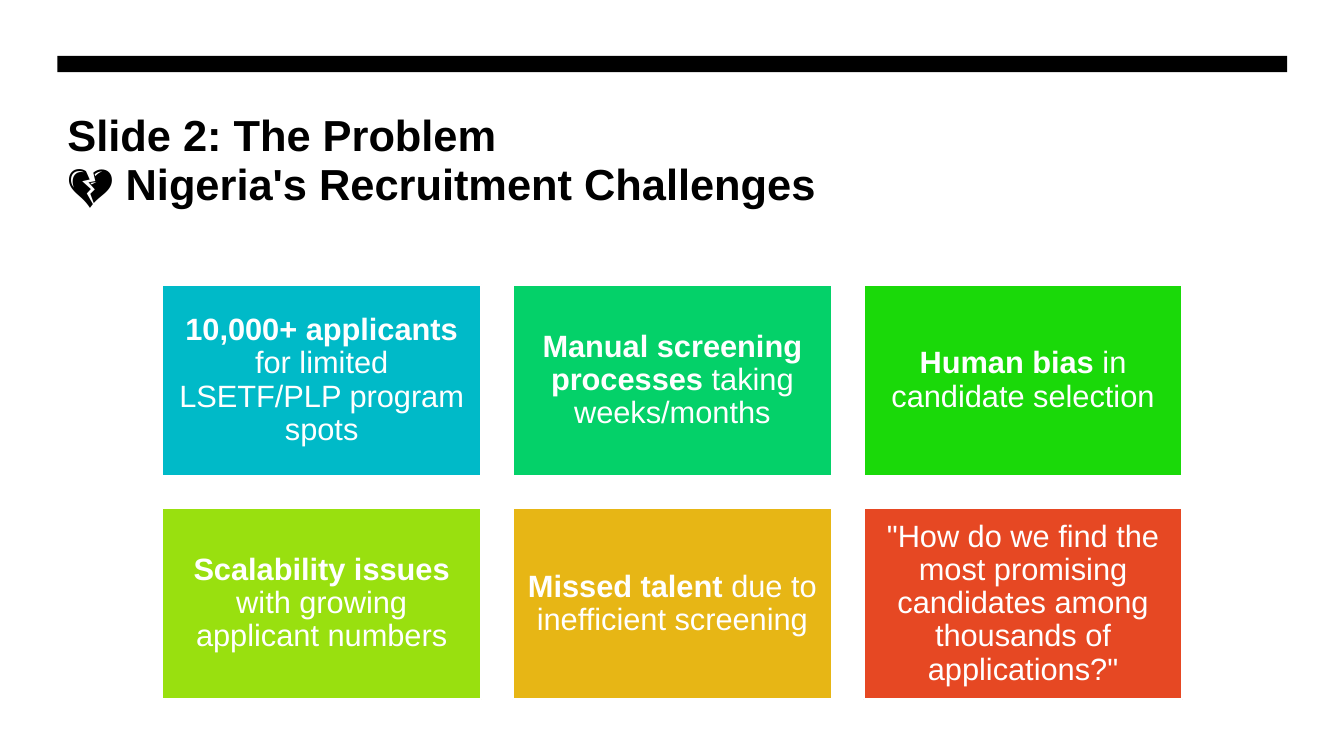
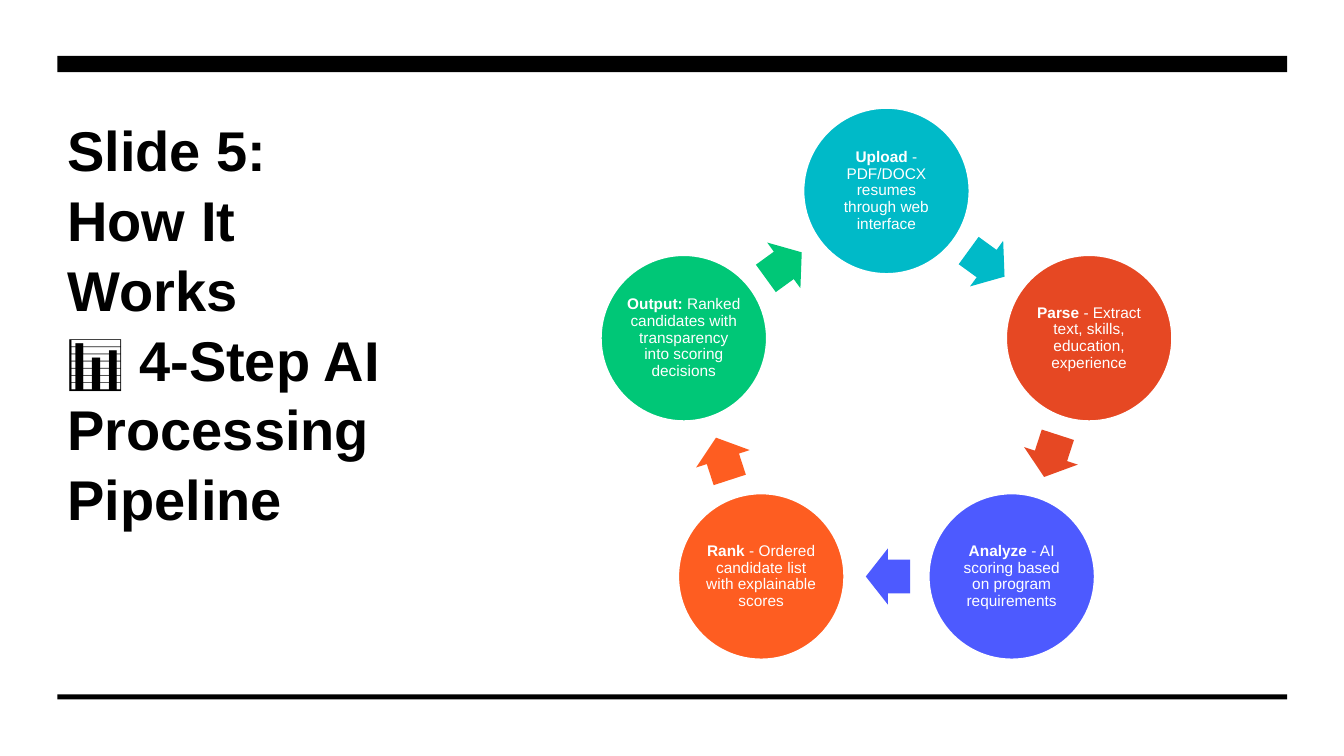
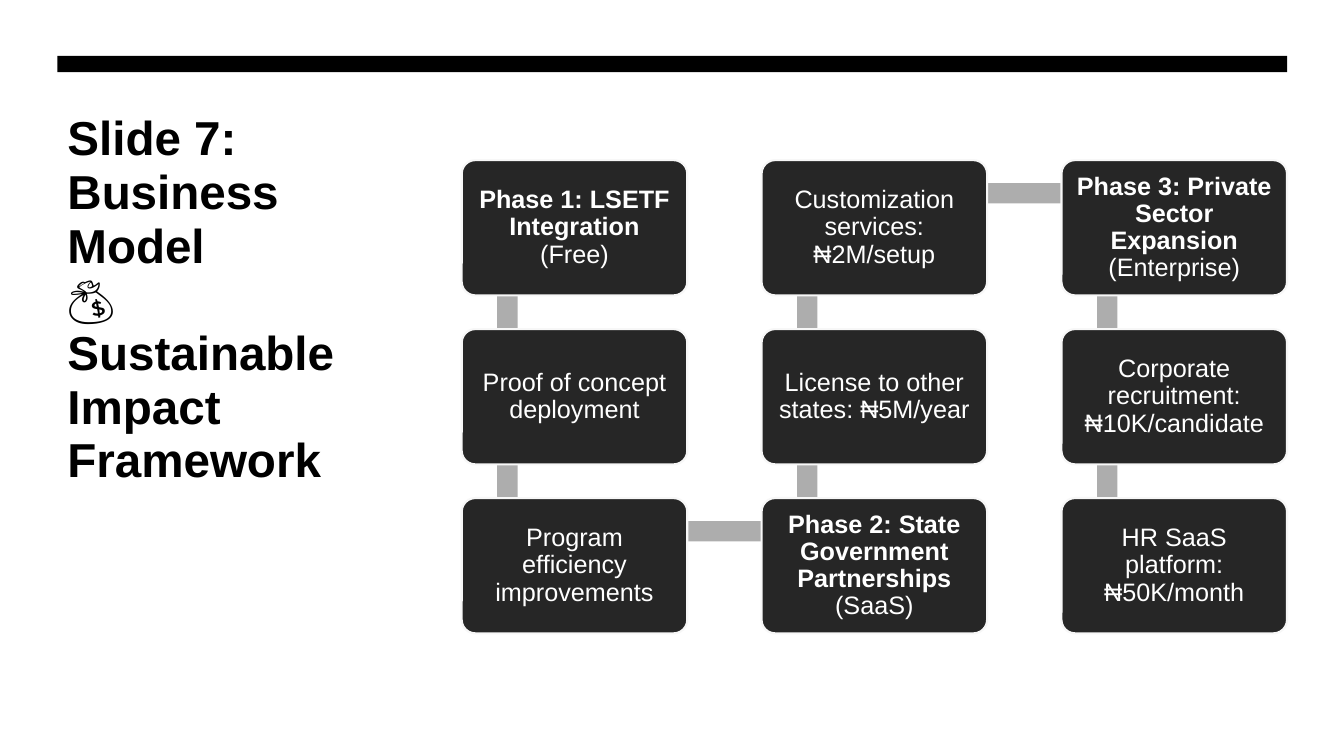
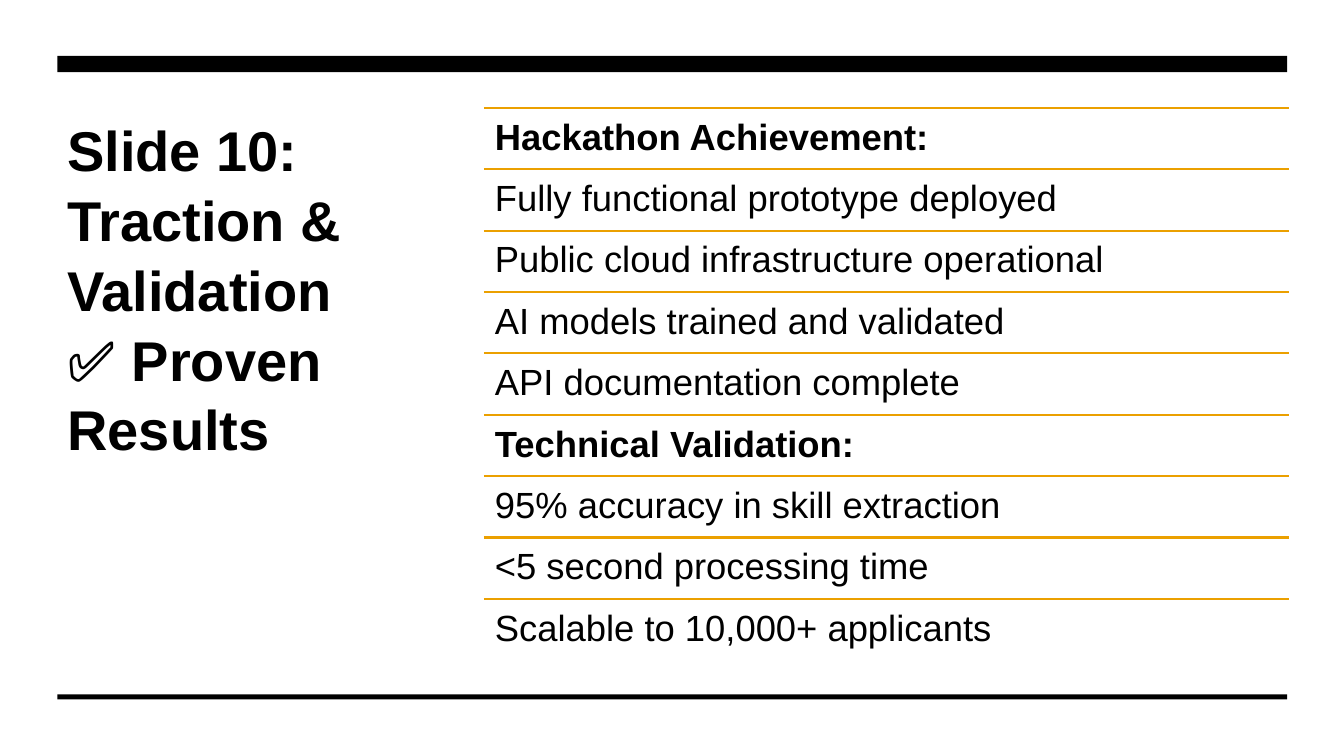
import math

from lxml import etree
from pptx import Presentation
from pptx.dml.color import RGBColor
from pptx.enum.shapes import MSO_CONNECTOR, MSO_SHAPE
from pptx.enum.text import MSO_ANCHOR, MSO_AUTO_SIZE, PP_ALIGN
from pptx.oxml.ns import qn
from pptx.util import Pt

RECTANGLE = MSO_SHAPE.RECTANGLE
ROUNDED = MSO_SHAPE.ROUNDED_RECTANGLE
OVAL = MSO_SHAPE.OVAL
ARROW = MSO_SHAPE.RIGHT_ARROW
STRAIGHT = MSO_CONNECTOR.STRAIGHT
TOP = MSO_ANCHOR.TOP
MIDDLE = MSO_ANCHOR.MIDDLE
LEFT = PP_ALIGN.LEFT
CENTER = PP_ALIGN.CENTER
NO_AUTOFIT = MSO_AUTO_SIZE.NONE

FONT = "Arial"
COLORS = {
    "black": "000000", "white": "FFFFFF", "charcoal": "262626",
    "pale": "F7F7F7", "gray": "ADADAD", "amber": "EBA000",
    "teal": "00BAC8", "emerald": "04D169", "green": "1AD909",
    "lime": "99E00F", "gold": "E7B615", "red": "E64823",
    "indigo": "4D5AFF", "orange": "FE5D21", "jade": "00C777",
}
MARGIN_LEFT = 41
CONTENT_WIDTH = 878.4
TITLE_TOP = 77


def add_shape(slide, kind, left, top, width, height, fill, outline=None):
    shape = slide.shapes.add_shape(kind, Pt(left), Pt(top), Pt(width), Pt(height))
    shape.shadow.inherit = False
    shape.fill.solid()
    shape.fill.fore_color.rgb = RGBColor.from_string(COLORS[fill])
    if outline:
        shape.line.color.rgb = RGBColor.from_string(COLORS[outline])
        shape.line.width = Pt(1.5)
    else:
        shape.line.fill.background()
    return shape


def write_label(shape, bold_text, plain_text, size, color="white",
                inset=0.3, align=CENTER, anchor=MIDDLE):
    """Write a bold lead and plain rest; inset is a share of the text size."""
    frame = shape.text_frame
    frame.word_wrap = True
    frame.vertical_anchor = anchor
    frame.margin_left = frame.margin_right = Pt(size * inset)
    frame.margin_top = frame.margin_bottom = Pt(size * inset)
    paragraph = frame.paragraphs[0]
    paragraph.alignment = align
    paragraph.line_spacing = 0.9
    for text, bold in ((bold_text, True), (plain_text, False)):
        if text:
            run = paragraph.add_run()
            run.text = text
            run.font.name = FONT
            run.font.size = Pt(size)
            run.font.bold = bold
            run.font.color.rgb = RGBColor.from_string(COLORS[color])


presentation = Presentation()
presentation.slide_width = Pt(960)
presentation.slide_height = Pt(540)

# Titles and bands: text, size, line spacing, width, height, bottom band
TITLES = [
    ("Slide 2: The Problem\n💔 Nigeria's Recruitment Challenges",
     31, 0.94, CONTENT_WIDTH, 115.2, False),
    ("Slide 5: How It Works\n📊 4-Step AI Processing Pipeline",
     40, 1.04, 248.4, 320.4, True),
    ("Slide 7: Business Model\n💰 Sustainable Impact Framework",
     34, 0.94, 248.4, 320.4, False),
    ("Slide 10: Traction & Validation\n✅ Proven Results",
     40, 1.04, 248.4, 320.4, True),
]
slides = []
for text, size, spacing, width, height, has_bottom_band in TITLES:
    slide = presentation.slides.add_slide(presentation.slide_layouts[5])
    title = slide.shapes.title
    title.left, title.top = Pt(MARGIN_LEFT), Pt(TITLE_TOP)
    title.width, title.height = Pt(width), Pt(height)
    frame = title.text_frame
    frame.text = text
    frame.word_wrap = True
    frame.auto_size = NO_AUTOFIT
    frame.vertical_anchor = TOP
    for paragraph in frame.paragraphs:
        paragraph.alignment = LEFT
        paragraph.line_spacing = spacing
        font = paragraph.runs[0].font
        font.name = FONT
        font.size = Pt(size)
        font.bold = True
        font.color.rgb = RGBColor.from_string(COLORS["black"])
    add_shape(slide, RECTANGLE, MARGIN_LEFT, 40, CONTENT_WIDTH, 11.6, "black")
    if has_bottom_band:
        add_shape(slide, RECTANGLE, MARGIN_LEFT, 496, CONTENT_WIDTH, 3.6, "black")
    slides.append(slide)
problem_slide, pipeline_slide, business_slide, traction_slide = slides

# The problem: a grid of three columns
CHALLENGES = [
    ("10,000+ applicants", " for limited LSETF/PLP program spots", "teal"),
    ("Manual screening processes", " taking weeks/months", "emerald"),
    ("Human bias", " in candidate selection", "green"),
    ("Scalability issues", " with growing applicant numbers", "lime"),
    ("Missed talent", " due to inefficient screening", "gold"),
    ("", '"How do we find the most promising candidates among thousands of '
         'applications?"', "red"),
]
for index, (lead, rest, color) in enumerate(CHALLENGES):
    row, column = divmod(index, 3)
    card = add_shape(problem_slide, RECTANGLE, 115.9 + column * 250.5,
                     203.4 + row * 159.5, 227.7, 136.6, color, "white")
    write_label(card, lead, rest, 22)

# The pipeline: circles on a ring, an arrow after each
STEPS = [
    ("Upload", " - PDF/DOCX resumes through web interface", "teal"),
    ("Parse", " - Extract text, skills, education, experience", "red"),
    ("Analyze", " - AI scoring based on program requirements", "indigo"),
    ("Rank", " - Ordered candidate list with explainable scores", "orange"),
    ("Output:", " Ranked candidates with transparency into scoring decisions", "jade"),
]
RING_X, RING_Y = 633.2, 288.6
RING_RADIUS, ARROW_RADIUS = 152.2, 123.2
DIAMETER = 118.8
ARROW_WIDTH, ARROW_HEIGHT = 31.7, 40.3
STEP_ANGLE = 360 / len(STEPS)
for index, (lead, rest, color) in enumerate(STEPS):
    angle = math.radians(index * STEP_ANGLE)
    circle = add_shape(pipeline_slide, OVAL,
                       RING_X + RING_RADIUS * math.sin(angle) - DIAMETER / 2,
                       RING_Y - RING_RADIUS * math.cos(angle) - DIAMETER / 2,
                       DIAMETER, DIAMETER, color, "white")
    write_label(circle, lead, rest, 11, inset=0.1)
    angle = math.radians(index * STEP_ANGLE + 35.5)
    arrow = add_shape(pipeline_slide, ARROW,
                      RING_X + ARROW_RADIUS * math.sin(angle) - ARROW_WIDTH / 2,
                      RING_Y - ARROW_RADIUS * math.cos(angle) - ARROW_HEIGHT / 2,
                      ARROW_WIDTH, ARROW_HEIGHT, color)
    arrow.adjustments[0] = 0.6
    arrow.adjustments[1] = 0.5
    arrow.rotation = (index + 0.5) * STEP_ANGLE

# The business model: three columns, joined down, up and down again
PHASE_COLUMNS = [
    [("Phase 1: LSETF Integration", " (Free)"),
     ("", "Proof of concept deployment"),
     ("", "Program efficiency improvements")],
    [("", "Customization services: ₦2M/setup"),
     ("", "License to other states: ₦5M/year"),
     ("Phase 2: State Government Partnerships", " (SaaS)")],
    [("Phase 3: Private Sector Expansion", " (Enterprise)"),
     ("", "Corporate recruitment: ₦10K/candidate"),
     ("", "HR SaaS platform: ₦50K/month")],
]
GRID_LEFT, GRID_TOP = 329.8, 114.4
COLUMN_STEP, ROW_STEP = 214.2, 120.7
BAR = 14.5
for column in range(3):
    for row in range(2):
        add_shape(business_slide, RECTANGLE, GRID_LEFT + column * COLUMN_STEP + 25.4,
                  GRID_TOP + row * ROW_STEP + 23.4, BAR, ROW_STEP, "gray")
for column, row in ((0, 2), (1, 0)):
    add_shape(business_slide, RECTANGLE, GRID_LEFT + column * COLUMN_STEP + 33,
              GRID_TOP + row * ROW_STEP + 16.4, COLUMN_STEP, BAR, "gray")
for column, phases in enumerate(PHASE_COLUMNS):
    for row, (lead, rest) in enumerate(phases):
        box = add_shape(business_slide, ROUNDED, GRID_LEFT + column * COLUMN_STEP,
                        GRID_TOP + row * ROW_STEP, 161.1, 96.6, "charcoal", "pale")
        box.adjustments[0] = 0.1
        write_label(box, lead, rest, 18)

# Traction: ruled lines of text
RESULTS = [
    ("Hackathon Achievement:", ""),
    ("", "Fully functional prototype deployed"),
    ("", "Public cloud infrastructure operational"),
    ("", "AI models trained and validated"),
    ("", "API documentation complete"),
    ("Technical Validation:", ""),
    ("", "95% accuracy in skill extraction"),
    ("", "<5 second processing time"),
    ("", "Scalable to 10,000+ applicants"),
]
LIST_LEFT, LIST_WIDTH, LINE_STEP = 345.7, 575.2, 43.85
for index, (lead, rest) in enumerate(RESULTS):
    top = TITLE_TOP + index * LINE_STEP
    rule = traction_slide.shapes.add_connector(
        STRAIGHT, Pt(LIST_LEFT), Pt(top), Pt(LIST_LEFT + LIST_WIDTH), Pt(top))
    rule.line.color.rgb = RGBColor.from_string(COLORS["amber"])
    rule.line.width = Pt(1.5)
    properties = rule.element.find(qn("p:spPr"))
    etree.SubElement(properties, qn("a:effectLst"))
    result = traction_slide.shapes.add_textbox(
        Pt(LIST_LEFT), Pt(top), Pt(LIST_WIDTH), Pt(LINE_STEP))
    write_label(result, lead, rest, 26, "black", align=LEFT, anchor=TOP)

presentation.save("out.pptx")
